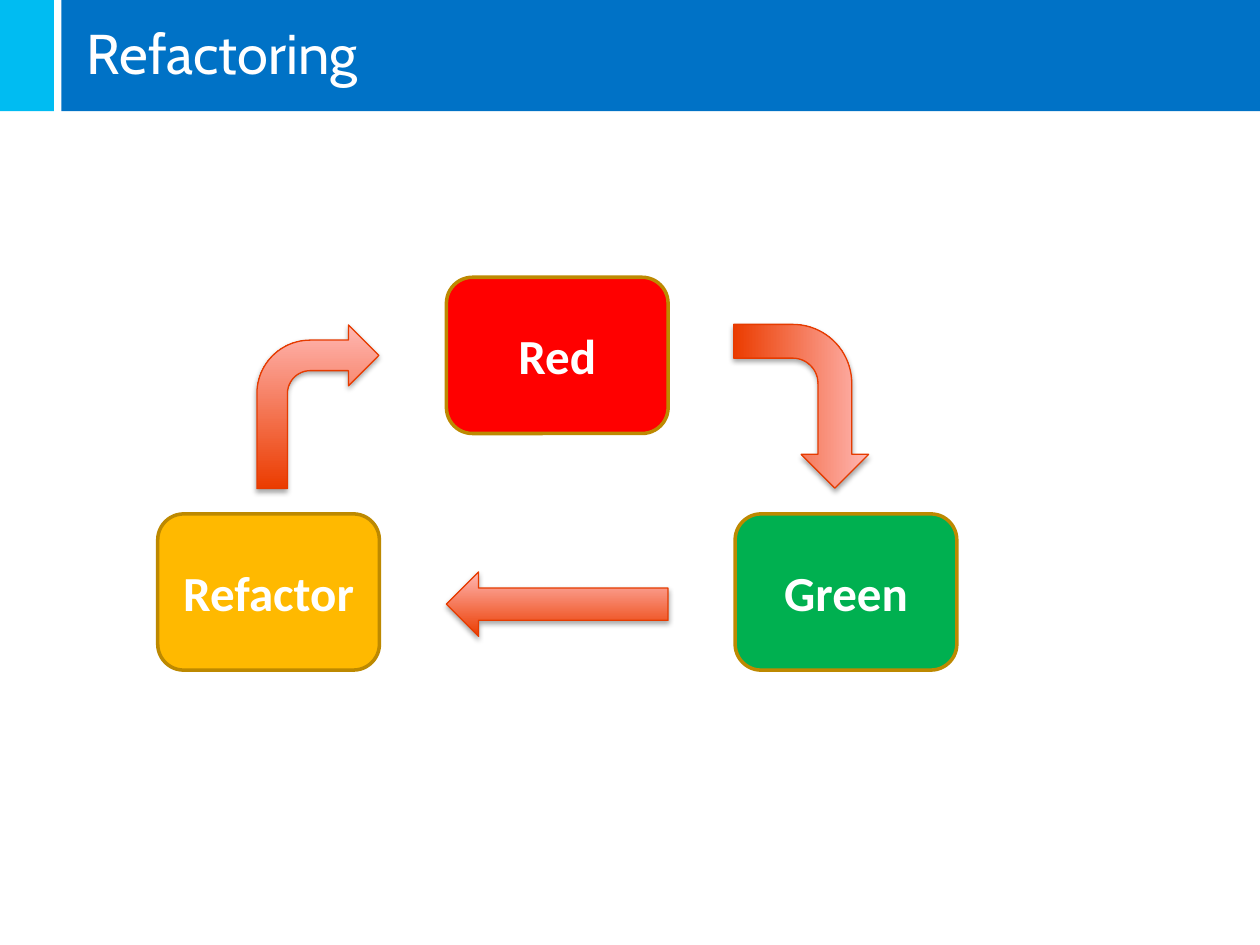
from dataclasses import dataclass

from lxml import etree
from pptx import Presentation
from pptx.dml.color import RGBColor
from pptx.enum.shapes import MSO_SHAPE
from pptx.enum.text import MSO_ANCHOR, MSO_AUTO_SIZE, PP_ALIGN
from pptx.oxml.ns import qn
from pptx.util import Cm, Pt

RECT = MSO_SHAPE.RECTANGLE
ROUND = MSO_SHAPE.ROUNDED_RECTANGLE
BENT = MSO_SHAPE.BENT_ARROW
RIGHT = MSO_SHAPE.RIGHT_ARROW
MIDDLE = MSO_ANCHOR.MIDDLE
NO_FIT = MSO_AUTO_SIZE.NONE
LEFT = PP_ALIGN.LEFT
CENTER = PP_ALIGN.CENTER


@dataclass(frozen=True)
class Theme:
    blue: str = "0072C6"
    cyan: str = "00BCF2"
    white: str = "FFFFFF"
    red: str = "FF0000"
    green: str = "00B050"
    amber: str = "FFB900"
    border: str = "BD8900"
    dark: str = "EB3C00"
    light: str = "FFB7B3"
    edge: str = "E63B00"
    shade: str = "000000"
    head: str = "Cabin"
    body: str = "Calibri"
    head_size: int = 32
    body_size: int = 28


class Deck:
    def __init__(self, theme):
        self.theme = theme
        self.file = Presentation()
        self.file.slide_width, self.file.slide_height = Cm(25.4), Cm(19.05)
        self.slide = self.file.slides.add_slide(self.file.slide_layouts[5])

    def shape(self, kind, area):
        shape = self.slide.shapes.add_shape(kind, *map(Cm, area))
        shape.shadow.inherit = False
        return shape

    def paint(self, shape, color):
        shape.fill.solid()
        shape.fill.fore_color.rgb = RGBColor.from_string(color)

    def stroke(self, shape, color, width):
        shape.line.color.rgb = RGBColor.from_string(color)
        shape.line.width = Pt(width)

    def label(self, frame, text, font, size, align, bold=False):
        frame.word_wrap = True
        frame.vertical_anchor = MIDDLE
        para = frame.paragraphs[0]
        para.alignment = align
        run = para.add_run()
        run.text = text
        run.font.name, run.font.size, run.font.bold = font, Pt(size), bold
        run.font.color.rgb = RGBColor.from_string(self.theme.white)

    def bar(self, area, color):
        bar = self.shape(RECT, area)
        self.paint(bar, color)
        bar.line.fill.background()

    def title(self, area, text):
        title = self.slide.shapes.title
        title.left, title.top, title.width, title.height = map(Cm, area)
        frame = title.text_frame
        frame.auto_size = NO_FIT
        frame.margin_left = frame.margin_right = Cm(0.51)
        frame.margin_top, frame.margin_bottom = Cm(0), Cm(0.13)
        self.label(frame, text, self.theme.head, self.theme.head_size, LEFT)
        self.slide.shapes._spTree.append(title._element)

    def box(self, area, text, color):
        box = self.shape(ROUND, area)
        self.paint(box, color)
        self.stroke(box, self.theme.border, 2)
        self.label(box.text_frame, text, self.theme.body,
                   self.theme.body_size, CENTER, True)

    def arrow(self, kind, area, turn=0, flip=False):
        arrow = self.shape(kind, area)
        arrow.rotation = turn
        if flip:
            arrow._element.spPr.xfrm.set("flipH", "1")
        arrow.fill.gradient()
        arrow.fill.gradient_angle = 90
        for stop, color in zip(arrow.fill.gradient_stops,
                               (self.theme.dark, self.theme.light)):
            stop.color.rgb = RGBColor.from_string(color)
        self.stroke(arrow, self.theme.edge, 0.75)
        self.shadow(arrow)

    def shadow(self, shape):
        effect = shape._element.spPr.find(qn("a:effectLst"))
        outer = etree.SubElement(effect, qn("a:outerShdw"), {
            "blurRad": str(Pt(3.1)), "dist": str(Pt(1.8)),
            "dir": "5400000", "rotWithShape": "0"})
        color = etree.SubElement(outer, qn("a:srgbClr"), val=self.theme.shade)
        etree.SubElement(color, qn("a:alpha"), val="35000")


def main():
    theme = Theme()
    deck = Deck(theme)
    band = (1.24, 0, 24.16, 2.24)
    deck.bar(band, theme.blue)
    deck.bar((0, 0, 1.09, 2.24), theme.cyan)
    deck.title(band, "Refactoring")

    wide, high = 4.47, 3.15
    cols = [3.18 + 5.82 * i for i in range(3)]
    upper, lower = 5.59, 10.36
    for text, left, top, color in (
        ("Red", cols[1], upper, theme.red),
        ("Green", cols[2], lower, theme.green),
        ("Refactor", cols[0], lower, theme.amber),
    ):
        deck.box((left, top, wide, high), text, color)

    deck.arrow(BENT, (14.5, 6.83, 3.3, 2.72), turn=90)
    deck.arrow(BENT, (5.18, 6.55, 2.46, 3.3))
    deck.arrow(RIGHT, (cols[1], 11.53, wide, 1.3), flip=True)
    deck.file.save("out.pptx")


if __name__ == "__main__":
    main()
